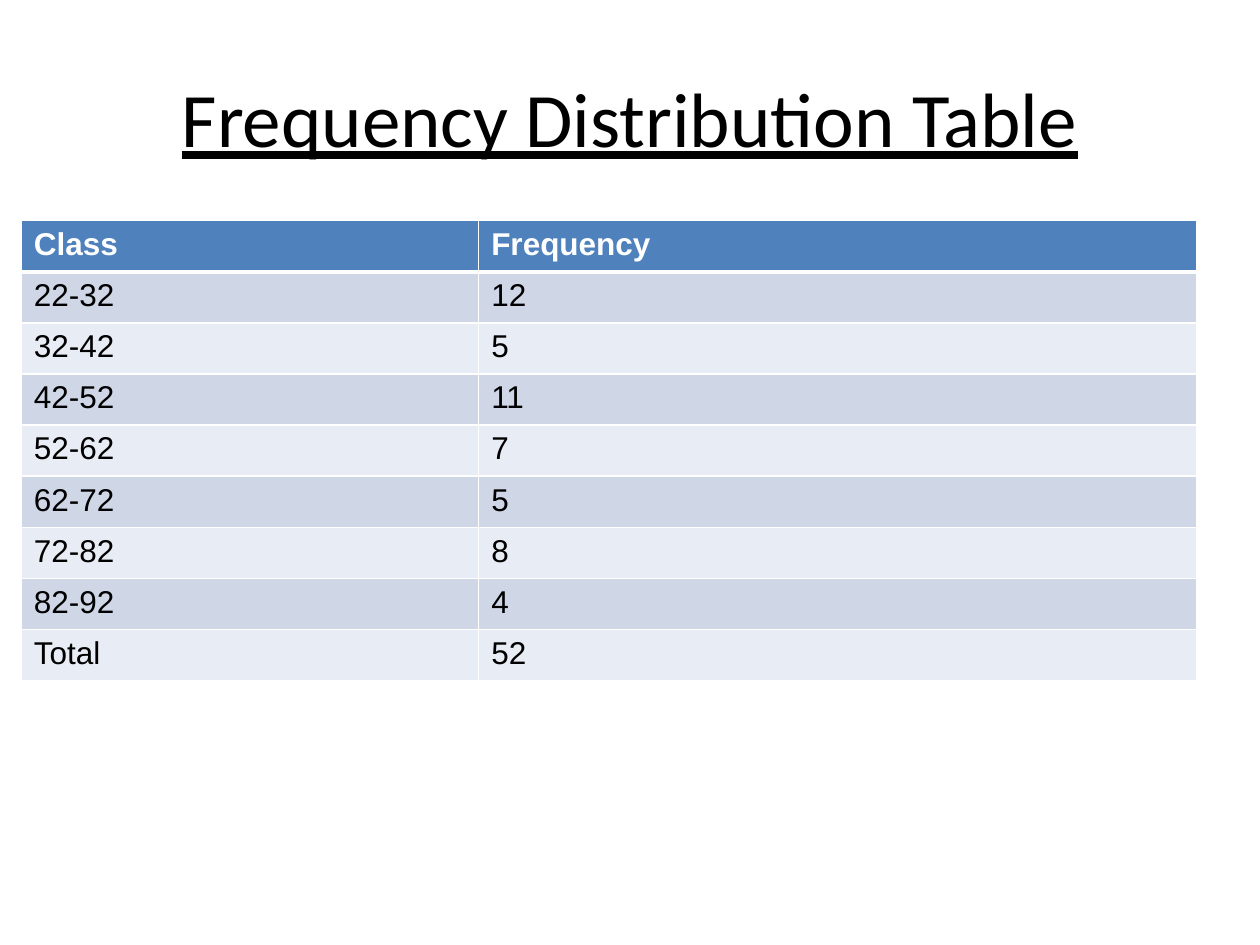
from lxml import etree
from pptx import Presentation
from pptx import util as u
from pptx.dml.color import RGBColor
from pptx.enum import text
from pptx.oxml.ns import qn

WHITE, BLACK = "FFFFFF", "000000"
HEADER_FILL = "4F81BD"
BAND_FILLS = ("CFD7E7", "E8ECF4")

FREQUENCIES = [
    ("22-32", 12),
    ("32-42", 5),
    ("42-52", 11),
    ("52-62", 7),
    ("62-72", 5),
    ("72-82", 8),
    ("82-92", 4),
]


def rgb(color):
    return RGBColor.from_string(color)


def write(tf, content, font="Arial", size=18, color=BLACK, bold=False,
          underline=False, align=text.PP_ALIGN.LEFT):
    p = tf.paragraphs[0]
    p.alignment = align
    r = p.add_run()
    r.text = content
    r.font.name = font
    r.font.size = u.Pt(size)
    r.font.color.rgb = rgb(color)
    r.font.bold = bold
    r.font.underline = underline


def set_borders(cell, color, **widths):
    """Draw cell borders; widths maps the sides L, R, T, B (in that order) to points."""
    tc_pr = cell._tc.get_or_add_tcPr()
    for side, width in widths.items():
        ln = etree.SubElement(tc_pr, qn(f"a:ln{side}"), w=str(u.Pt(width)))
        fill = etree.SubElement(ln, qn("a:solidFill"))
        etree.SubElement(fill, qn("a:srgbClr"), val=color)


def add_title(s, content, left, top, width, height):
    box = s.shapes.add_textbox(u.Cm(left), u.Cm(top), u.Cm(width), u.Cm(height))
    tf = box.text_frame
    tf.word_wrap = True
    tf.vertical_anchor = text.MSO_ANCHOR.MIDDLE
    write(tf, content, font="Calibri", size=44, underline=True,
          align=text.PP_ALIGN.CENTER)


def add_frequency_table(s, rows, left, top, col_widths, row_height):
    frame = s.shapes.add_table(
        len(rows), len(col_widths), u.Cm(left), u.Cm(top),
        u.Cm(sum(col_widths)), u.Cm(row_height * len(rows)))
    table = frame.table
    for column, width in zip(table.columns, col_widths):
        column.width = u.Cm(width)
    for i, values in enumerate(rows):
        table.rows[i].height = u.Cm(row_height)
        header = i == 0
        fill = HEADER_FILL if header else BAND_FILLS[(i - 1) % 2]
        for j, value in enumerate(values):
            cell = table.cell(i, j)
            set_borders(cell, WHITE, L=1, R=1, T=3 if i == 1 else 1,
                        B=3 if header else 1)
            cell.fill.solid()
            cell.fill.fore_color.rgb = rgb(fill)
            write(cell.text_frame, str(value), bold=header,
                  color=WHITE if header else BLACK)


def main():
    prs = Presentation()
    prs.slide_width, prs.slide_height = u.Cm(25.4), u.Cm(19.05)
    s = prs.slides.add_slide(prs.slide_layouts[6])
    add_title(s, "Frequency Distribution Table", 1.27, 0.76, 22.86, 3.18)
    total = sum(count for _, count in FREQUENCIES)
    rows = [("Class", "Frequency"), *FREQUENCIES, ("Total", total)]
    add_frequency_table(s, rows, 0.43, 4.45, (9.22, 14.48), 1.03)
    prs.save("out.pptx")


if __name__ == "__main__":
    main()
